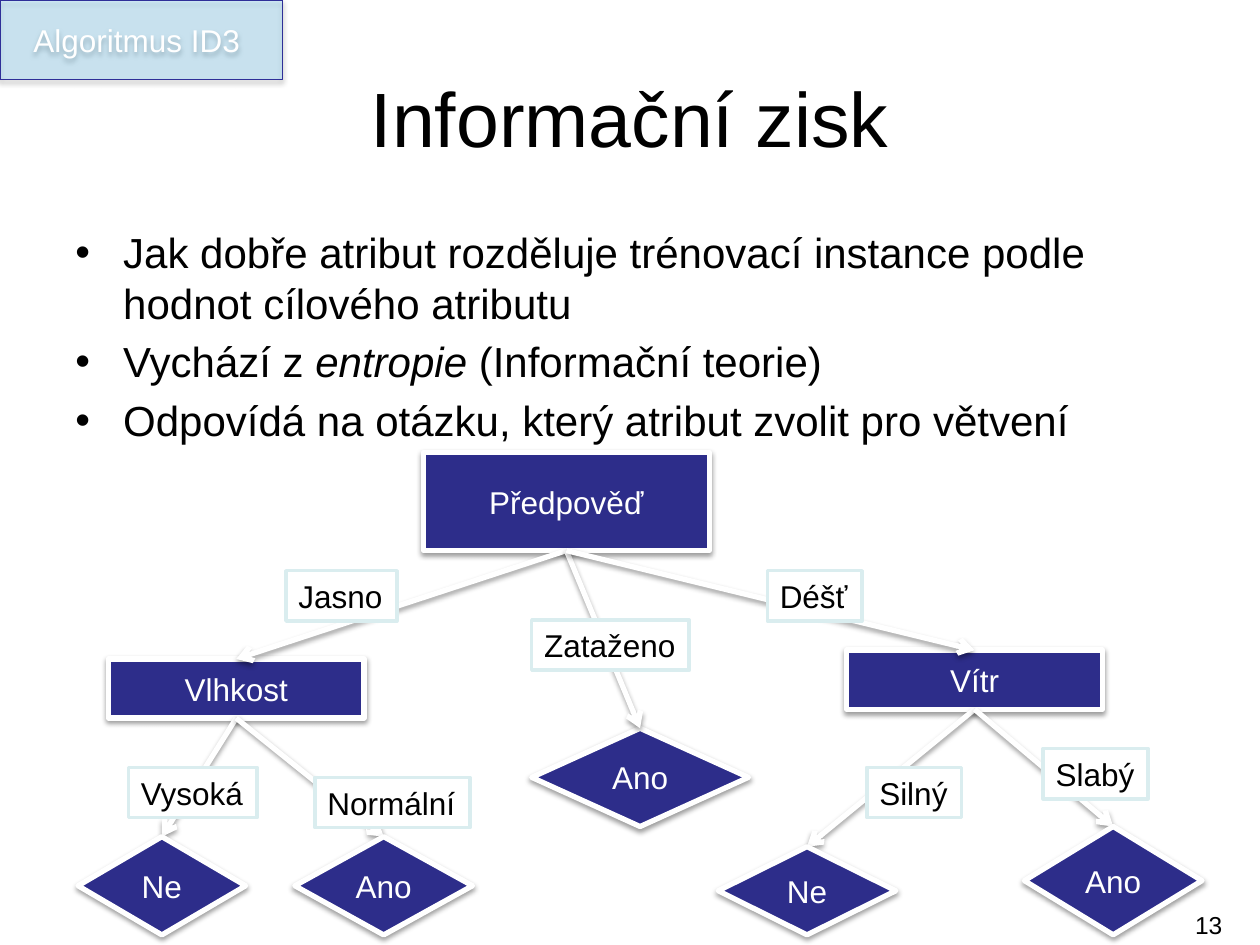
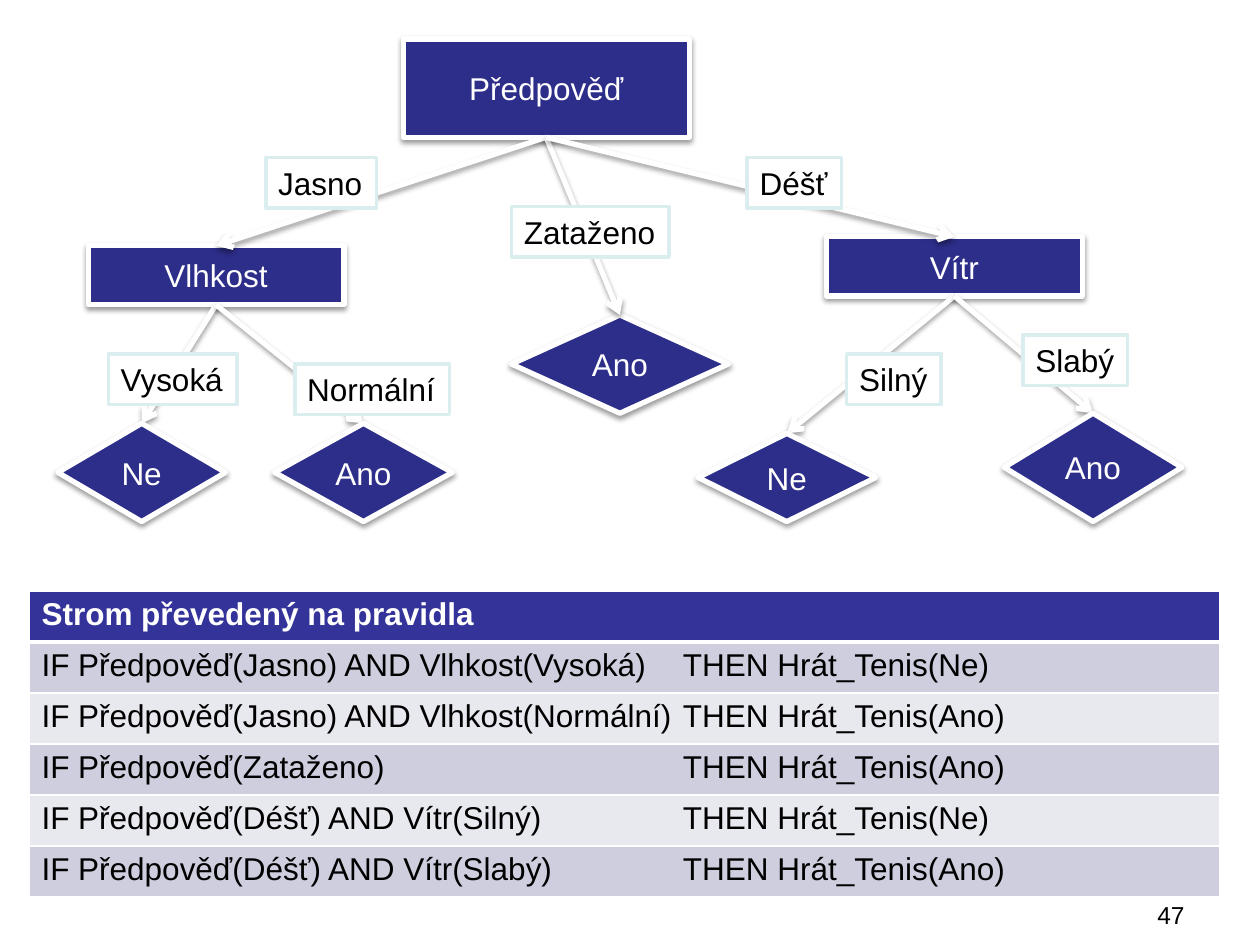
import dataclasses
import typing

import lxml.etree
import pptx
import pptx.dml.color
import pptx.enum.shapes
import pptx.enum.text
import pptx.oxml.ns
import pptx.slide
import pptx.util

Inches = pptx.util.Inches
Pt = pptx.util.Pt
Kind = pptx.enum.shapes.MSO_SHAPE
Align = pptx.enum.text.PP_ALIGN
Anchor = pptx.enum.text.MSO_ANCHOR
Box = tuple[float, float, float, float]


@dataclasses.dataclass(frozen=True)
class Theme:
    font: str = "Arial"
    black: str = "000000"
    white: str = "FFFFFF"
    node: str = "2D2D8A"
    label: str = "DAEDEF"
    tag: str = "66CCFF"
    rim: str = "2F2F98"
    head: str = "333399"
    bands: tuple[str, str] = ("CECEDE", "E8E8EF")
    title: int = 44
    body: int = 24
    small: int = 18
    page: int = 14


@dataclasses.dataclass(frozen=True)
class Node:
    key: str
    text: str
    box: Box
    leaf: bool = False
    root: str = ""
    branch: str = ""
    spot: Box = (0, 0, 0, 0)


THEME = Theme()

TREE = [
    Node("top", "Předpověď", (3.36, 3.59, 2.27, 0.78)),
    Node("damp", "Vlhkost", (0.86, 5.23, 2.03, 0.47), False,
         "top", "Jasno", (2.27, 4.53, 0.88, 0.4)),
    Node("cloud", "Ano", (4.22, 5.78, 1.72, 0.78), True,
         "top", "Zataženo", (4.22, 4.92, 1.25, 0.4)),
    Node("wind", "Vítr", (6.72, 5.16, 2.03, 0.47), False,
         "top", "Déšť", (6.09, 4.53, 0.75, 0.4)),
    Node("high", "Ne", (0.62, 6.64, 1.33, 0.78), True,
         "damp", "Vysoká", (1.02, 6.09, 1.02, 0.4)),
    Node("norm", "Ano", (2.34, 6.64, 1.41, 0.78), True,
         "damp", "Normální", (2.5, 6.17, 1.23, 0.4)),
    Node("strong", "Ne", (5.7, 6.72, 1.41, 0.7), True,
         "wind", "Silný", (6.88, 6.09, 0.75, 0.4)),
    Node("weak", "Ano", (8.13, 6.56, 1.41, 0.86), True,
         "wind", "Slabý", (8.28, 5.94, 0.83, 0.4)),
]

POINTS = [
    "Jak dobře atribut rozděluje trénovací instance podle hodnot cílového atributu",
    "Vychází z *entropie* (Informační teorie)",
    "Odpovídá na otázku, který atribut zvolit pro větvení",
]

RULES = [
    ("Předpověď(Jasno) AND Vlhkost(Vysoká)", "Ne"),
    ("Předpověď(Jasno) AND Vlhkost(Normální)", "Ano"),
    ("Předpověď(Zataženo)", "Ano"),
    ("Předpověď(Déšť) AND Vítr(Silný)", "Ne"),
    ("Předpověď(Déšť) AND Vítr(Slabý)", "Ano"),
]


def paint(code: str) -> pptx.dml.color.RGBColor:
    return pptx.dml.color.RGBColor.from_string(code)


def place(box: Box) -> list[int]:
    return [Inches(side) for side in box]


def add(host: typing.Any, tag: str, **attrs: typing.Any) -> typing.Any:
    return lxml.etree.SubElement(
        host, pptx.oxml.ns.qn(tag), {key: str(val) for key, val in attrs.items()})


def write(frame: typing.Any, *lines: str, size: int = THEME.small,
          color: str = THEME.black, align: typing.Any = Align.LEFT,
          anchor: typing.Any = Anchor.TOP, bold: bool = False,
          wrap: bool = True, dots: bool = False, tab: float = 0) -> None:
    frame.word_wrap = wrap
    frame.vertical_anchor = anchor
    for num, line in enumerate(lines):
        para = frame.paragraphs[0] if num == 0 else frame.add_paragraph()
        para.alignment = align
        props = para._p.get_or_add_pPr()
        if dots:
            para.space_before = Pt(0.2 * size)
            props.set("marL", str(Inches(0.38)))
            props.set("indent", str(Inches(-0.38)))
            add(props, "a:buFont", typeface=THEME.font)
            add(props, "a:buChar", char="•")
        if tab:
            add(add(props, "a:tabLst"), "a:tab", pos=Inches(tab), algn="l")
        for turn, part in enumerate(line.split("*")):
            run = para.add_run()
            run.text = part
            run.font.name = THEME.font
            run.font.size = Pt(size)
            run.font.bold = bold
            run.font.italic = turn % 2 == 1
            run.font.color.rgb = paint(color)


def shade(shape: typing.Any, depth: float = 1.6, force: int = 38) -> None:
    props = shape._element.spPr
    list_tag = pptx.oxml.ns.qn("a:effectLst")
    effects = props.find(list_tag)
    if effects is None:
        effects = add(props, "a:effectLst")
    cast = add(effects, "a:outerShdw", blurRad=Pt(3.1), dist=Pt(depth),
               dir=90 * 60000, rotWithShape=0)
    add(add(cast, "a:srgbClr", val=THEME.black), "a:alpha", val=force * 1000)


def block(slide: pptx.slide.Slide, box: Box, fill: str, rim: str, width: float,
          kind: typing.Any = Kind.RECTANGLE) -> typing.Any:
    shape = slide.shapes.add_shape(kind, *place(box))
    shape.fill.solid()
    shape.fill.fore_color.rgb = paint(fill)
    shape.line.color.rgb = paint(rim)
    shape.line.width = Pt(width)
    shape.shadow.inherit = False
    return shape


def note(slide: pptx.slide.Slide, box: Box, *lines: str, **style: typing.Any) -> None:
    write(slide.shapes.add_textbox(*place(box)).text_frame, *lines, **style)


def page(slide: pptx.slide.Slide, num: int, left: float, top: float) -> None:
    note(slide, (left, top, 2.33, 0.52), str(num), size=THEME.page, align=Align.RIGHT)


def arrow(slide: pptx.slide.Slide) -> typing.Any:
    line = slide.shapes.add_connector(
        pptx.enum.shapes.MSO_CONNECTOR.STRAIGHT, 0, 0, 0, 0)
    line.line.color.rgb = paint(THEME.white)
    line.line.width = Pt(3)
    add(line._element.spPr.find(pptx.oxml.ns.qn("a:ln")), "a:tailEnd", type="arrow")
    shade(line)
    return line


def plant(slide: pptx.slide.Slide, right: float = 0, down: float = 0) -> None:
    def shift(box: Box) -> Box:
        return box[0] + right, box[1] + down, box[2], box[3]

    def sprout(node: Node) -> typing.Any:
        kind = Kind.DIAMOND if node.leaf else Kind.RECTANGLE
        shape = block(slide, shift(node.box), THEME.node, THEME.white, 3, kind)
        shade(shape)
        write(shape.text_frame, node.text, color=THEME.white,
              align=Align.CENTER, anchor=Anchor.MIDDLE)
        return shape

    upper = [node for node in TREE if node.root in ("", "top")]
    lower = [node for node in TREE if node not in upper]
    twigs = [node for node in TREE if node.root]
    shapes = {node.key: sprout(node) for node in upper}
    lines = [arrow(slide) for _ in twigs]
    for node in twigs:
        label = block(slide, shift(node.spot), THEME.white, THEME.label, 2)
        write(label.text_frame, node.branch, wrap=False)
        label.text_frame.auto_size = pptx.enum.text.MSO_AUTO_SIZE.SHAPE_TO_FIT_TEXT
    shapes.update({node.key: sprout(node) for node in lower})
    for node, line in zip(twigs, lines):
        line.begin_connect(shapes[node.root], 2)
        line.end_connect(shapes[node.key], 0)


def edge(cell: typing.Any, top: float, base: float) -> None:
    props = cell._tc.get_or_add_tcPr()
    for side, width in (("L", 1), ("R", 1), ("T", top), ("B", base)):
        line = add(props, f"a:ln{side}", w=Pt(width))
        add(add(line, "a:solidFill"), "a:srgbClr", val=THEME.white)


def chart_rules(slide: pptx.slide.Slide) -> None:
    texts = ["Strom převedený na pravidla"]
    texts += [f"IF {cause}\tTHEN Hrát_Tenis({play})" for cause, play in RULES]
    grid = slide.shapes.add_table(
        len(texts), 1, *place((0.23, 4.69, 9.45, 2.43))).table
    grid.first_row = grid.horz_banding = False
    for num, text in enumerate(texts):
        cell = grid.cell(num, 0)
        head = num == 0
        edge(cell, 3 if num == 1 else 1, 3 if head else 1)
        cell.fill.solid()
        cell.fill.fore_color.rgb = paint(
            THEME.head if head else THEME.bands[(num - 1) % 2])
        write(cell.text_frame, text, bold=head, tab=0 if head else 5.09,
              color=THEME.white if head else THEME.black)


def gain(slide: pptx.slide.Slide) -> None:
    note(slide, (0.5, 0.3, 9, 1.25), "Informační zisk", size=THEME.title,
         align=Align.CENTER, anchor=Anchor.MIDDLE)
    note(slide, (0.5, 1.75, 9, 4.95), *POINTS, size=THEME.body, dots=True)
    plant(slide)
    tag = block(slide, (0, 0, 2.24, 0.63), THEME.tag, THEME.rim, 0.75)
    add(tag.fill._xPr.find(".//" + pptx.oxml.ns.qn("a:srgbClr")), "a:alpha", val=25000)
    shade(tag, 1.8, 35)
    write(tag.text_frame, "Algoritmus ID3 ", color=THEME.white,
          align=Align.CENTER, anchor=Anchor.MIDDLE)
    page(slide, 13, 7.47, 7.17)


def rules(slide: pptx.slide.Slide) -> None:
    plant(slide, -0.16, -3.28)
    chart_rules(slide)
    page(slide, 47, 7.17, 7.09)


def main() -> None:
    deck = pptx.Presentation()
    deck.slide_width, deck.slide_height = Inches(10), Inches(7.5)
    for draw in (gain, rules):
        draw(deck.slides.add_slide(deck.slide_layouts[6]))
    deck.save("out.pptx")


if __name__ == "__main__":
    main()
